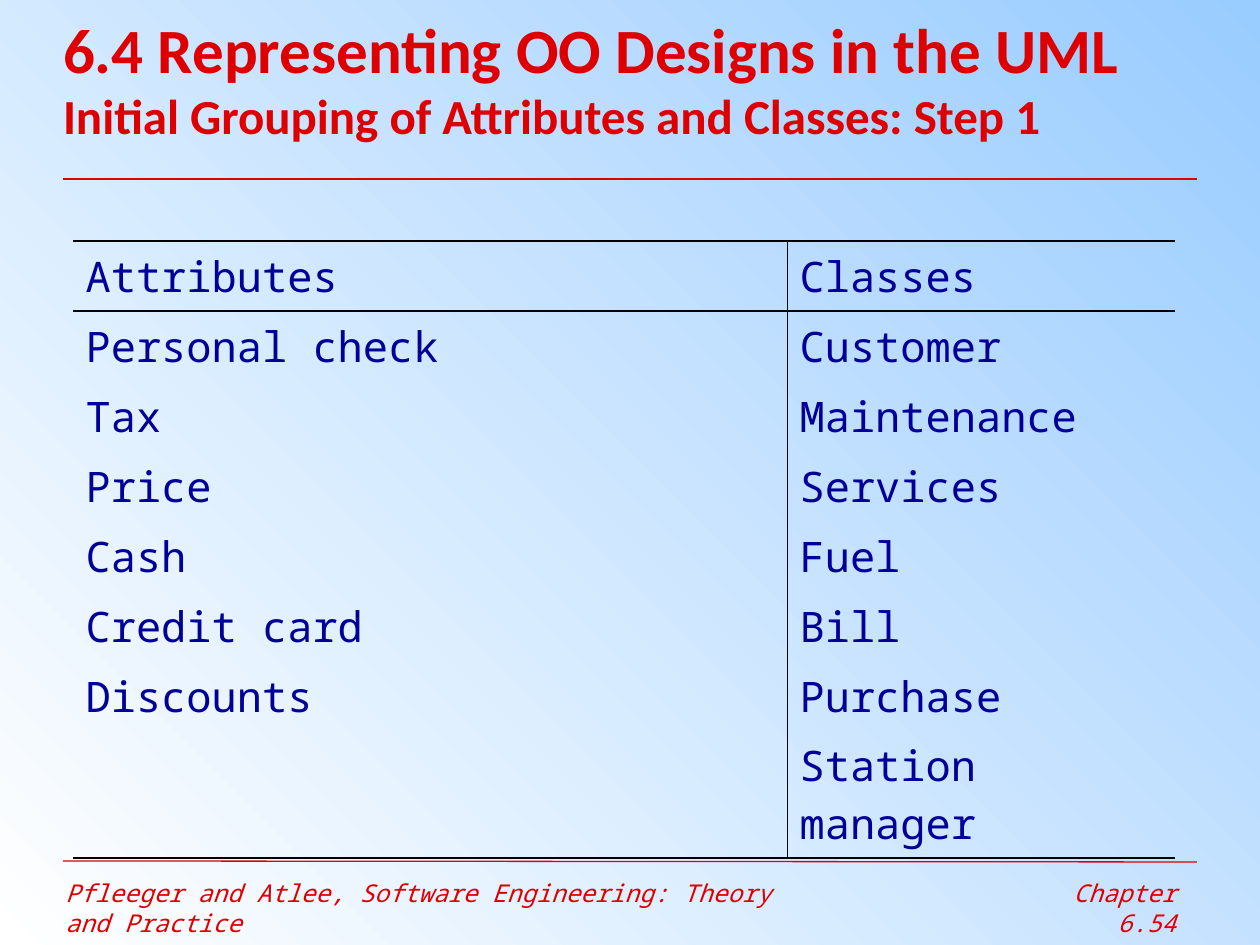
from lxml import etree
from pptx import Presentation, util as u
from pptx.dml.color import RGBColor
from pptx.enum import shapes, text
from pptx.oxml import ns

COLOURS = {"red": "DE0000", "navy": "000099", "black": "000000",
           "white": "FFFFFF", "sky": "99CCFF"}
TITLE = [("6.4 Representing OO Designs in the UML", 36),
         ("Initial Grouping of Attributes and Classes: Step 1", 28)]
ROWS = [
    ("Attributes", "Classes"),
    ("Personal check", "Customer"),
    ("Tax", "Maintenance"),
    ("Price", "Services"),
    ("Cash", "Fuel"),
    ("Credit card", "Bill"),
    ("Discounts", "Purchase\nStation manager"),
]
FOOTERS = [
    ("Pfleeger and Atlee, Software Engineering: Theory and Practice",
     (53, 872, 756, 43), text.PP_ALIGN.LEFT),
    ("Chapter 6.54", (990, 872, 199, 47), text.PP_ALIGN.RIGHT),
]
RULES = [((63, 861, 1197, 862), 0.75), ((63, 179, 1197, 179), 1.5)]
COLUMNS = (714, 388)
ROW, LAST_ROW = 70, 197
MONO = {"name": "Noto Sans Mono"}
FOOTER_FONT = {**MONO, "size": 14, "italic": True, "colour": "red"}
TITLE_FONT = {"name": "Calibri", "bold": True, "colour": "red"}
TABLE_FONT = {**MONO, "size": 24, "colour": "navy"}


def px(*lengths):
    return [u.Emu(round(length * 914400 / 126)) for length in lengths]


def rgb(name):
    return RGBColor.from_string(COLOURS[name])


def style(font, formats):
    for key, value in formats.items():
        if key == "colour":
            font.color.rgb = rgb(value)
        else:
            setattr(font, key, u.Pt(value) if key == "size" else value)


def add_box(page, place):
    frame = page.shapes.add_textbox(*px(*place)).text_frame
    frame.word_wrap = True
    return frame


def add_border(cell, side, width):
    line = etree.SubElement(cell._tc.get_or_add_tcPr(), ns.qn(f"a:ln{side}"))
    if not width:
        etree.SubElement(line, ns.qn("a:noFill"))
        return
    line.set("w", str(u.Pt(width)))
    fill = etree.SubElement(line, ns.qn("a:solidFill"))
    etree.SubElement(fill, ns.qn("a:srgbClr"), val=COLOURS["black"])


def add_rule(page, ends, width):
    rule = page.shapes.add_connector(shapes.MSO_CONNECTOR.STRAIGHT, *px(*ends))
    rule.line.color.rgb = rgb("red")
    rule.line.width = u.Pt(width)
    etree.SubElement(rule._element.spPr, ns.qn("a:effectLst"))


def add_title(page):
    frame = add_box(page, (63, 0, 1166, 155))
    frame.vertical_anchor = text.MSO_ANCHOR.MIDDLE
    for side in ("left", "top", "right", "bottom"):
        setattr(frame, f"margin_{side}", 0)
    para = frame.paragraphs[0]
    for index, (line, size) in enumerate(TITLE):
        if index:
            para.add_line_break()
        span = para.add_run()
        span.text = line
        style(span.font, {**TITLE_FONT, "size": size})


def add_grid(page):
    last = len(ROWS) - 1
    height = ROW * last + LAST_ROW
    grid = page.shapes.add_table(len(ROWS), len(COLUMNS),
                                 *px(73, 241, sum(COLUMNS), height)).table
    grid.first_row = grid.horz_banding = False
    for column, width in zip(grid.columns, px(*COLUMNS)):
        column.width = width
    for r, values in enumerate(ROWS):
        grid.rows[r].height = px(LAST_ROW if r == last else ROW)[0]
        for c, value in enumerate(values):
            cell = grid.cell(r, c)
            widths = {"L": 0.45 * (c == 1), "R": 0.45 * (c == 0),
                      "T": 1.08 * (r < 2), "B": 1.08 * (r in (0, last))}
            for side, width in widths.items():
                add_border(cell, side, width)
            cell.fill.background()
            cell.text_frame.text = value
            for index, para in enumerate(cell.text_frame.paragraphs):
                if index:
                    para.space_before = u.Pt(7)
                style(para.runs[0].font, TABLE_FONT)


def main():
    deck = Presentation()
    deck.slide_width, deck.slide_height = px(1260, 945)
    page = deck.slides.add_slide(deck.slide_layouts[6])
    fill = page.background.fill
    fill.gradient()
    fill.gradient_angle = 45
    for stop, name in zip(fill.gradient_stops, ("white", "sky")):
        stop.color.rgb = rgb(name)
    for words, place, align in FOOTERS:
        para = add_box(page, place).paragraphs[0]
        para.alignment = align
        span = para.add_run()
        span.text = words
        style(span.font, FOOTER_FONT)
    for ends, width in RULES:
        add_rule(page, ends, width)
    add_title(page)
    add_grid(page)
    deck.save("out.pptx")


if __name__ == "__main__":
    main()
